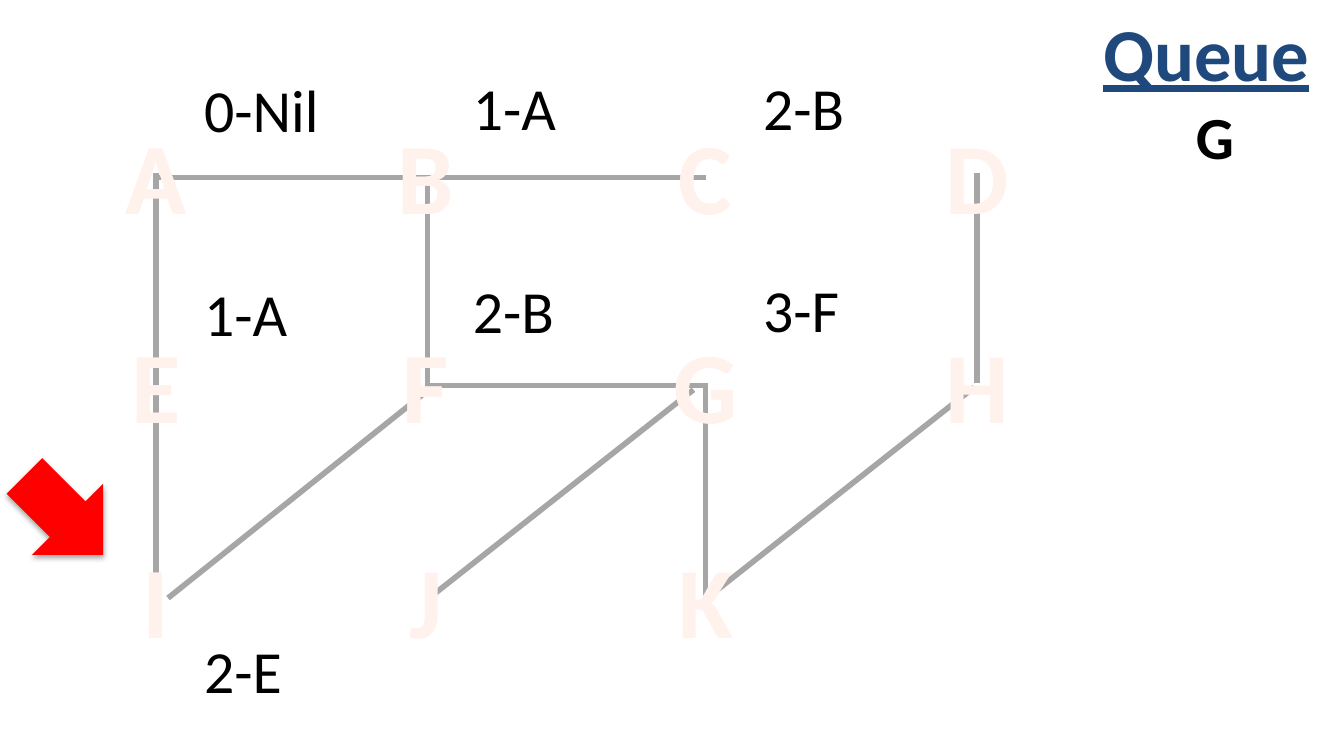
"""Build a breadth-first search slide with its graph, distance labels and queue."""
from dataclasses import dataclass

from lxml.etree import SubElement
from pptx import Presentation
from pptx.dml.color import RGBColor
from pptx.enum.shapes import MSO_CONNECTOR, MSO_SHAPE
from pptx.enum.text import MSO_ANCHOR, MSO_AUTO_SIZE, PP_ALIGN
from pptx.oxml import parse_xml
from pptx.oxml.ns import nsdecls, qn
from pptx.util import Inches, Pt

FONT = "Calibri"
SLIDE_WIDTH = Inches(10)
SLIDE_HEIGHT = SLIDE_WIDTH * 9 // 16
COLUMNS = (1.16, 3.17, 5.25, 7.27)
ROWS = (0.8, 2.35, 3.95)
NODE_HEIGHT = 1.01


@dataclass(frozen=True)
class Node:
    column: int
    row: int
    width: float


@dataclass(frozen=True)
class Edge:
    x1: float
    y1: float
    x2: float
    y2: float


@dataclass(frozen=True)
class Label:
    wording: str
    left: float
    top: float
    bold: bool = False
    align: PP_ALIGN = PP_ALIGN.LEFT


NODES = {
    "A": Node(0, 0, 0.66), "B": Node(1, 0, 0.63),
    "C": Node(2, 0, 0.6), "D": Node(3, 0, 0.68),
    "E": Node(0, 1, 0.57), "F": Node(1, 1, 0.55),
    "G": Node(2, 1, 0.68), "H": Node(3, 1, 0.68),
    "I": Node(0, 2, 0.4), "J": Node(1, 2, 0.45), "K": Node(2, 2, 0.62),
}
NODE_STATES = (("404040", "IHFAKGBJEDC"), ("0D0D0D", "AIG"), ("0F243E", "ABECF"))
EDGES = (
    Edge(1.16, 1.32, 3.25, 1.32),
    Edge(7.27, 1.29, 7.27, 2.85),
    Edge(1.16, 1.29, 1.16, 2.88),
    Edge(5.25, 2.85, 5.25, 4.51),
    Edge(3.16, 2.87, 5.25, 2.87),
    Edge(3.18, 1.32, 3.18, 2.85),
    Edge(7.25, 2.88, 5.26, 4.45),
    Edge(3.14, 2.94, 1.25, 4.45),
    Edge(1.16, 2.9, 1.16, 4.48),
    Edge(3.16, 1.32, 5.25, 1.32),
    Edge(5.16, 2.9, 3.18, 4.46),
)
LABELS = (
    Label("0-Nil", 1.42, 0.49),
    Label("1-A", 3.42, 0.48),
    Label("2-B", 5.58, 0.48),
    Label("1-A", 1.42, 2.01),
    Label("2-B", 3.42, 1.99),
    Label("3-F", 5.58, 1.98),
    Label("2-E", 1.42, 4.67),
    Label("G", 8.5, 0.69, True, PP_ALIGN.CENTER),
)


def paint(color_format, color: str) -> None:
    """Apply a hex colour to a colour format."""
    color_format.rgb = RGBColor.from_string(color)


def write(shape, wording: str, size: float, color: str, bold: bool, align: PP_ALIGN):
    """Set one paragraph of text and return its formatted run."""
    paragraph = shape.text_frame.paragraphs[0]
    paragraph.text = wording
    paragraph.alignment = align
    run = paragraph.runs[0]
    run.font.name = FONT
    run.font.size = Pt(size)
    run.font.bold = bold
    paint(run.font.color, color)
    return run


def draw_title(slide) -> None:
    """Place the underlined queue heading."""
    heading = slide.shapes.title
    heading.left, heading.top = Inches(8), Inches(0)
    heading.width, heading.height = Inches(1.95), Inches(0.81)
    heading.text_frame.auto_size = MSO_AUTO_SIZE.NONE
    heading.text_frame.vertical_anchor = MSO_ANCHOR.TOP
    write(heading, "Queue", 40, "1F497D", True, PP_ALIGN.CENTER).font.underline = True


def draw_edge(slide, edge: Edge) -> None:
    """Draw one grey graph edge without a shadow."""
    connector = slide.shapes.add_connector(
        MSO_CONNECTOR.STRAIGHT,
        Inches(edge.x1), Inches(edge.y1), Inches(edge.x2), Inches(edge.y2))
    connector.line.width = Pt(3)
    paint(connector.line.color, "A6A6A6")
    SubElement(connector._element.spPr, qn("a:effectLst"))


def draw_node(slide, letter: str, outline: str) -> None:
    """Draw an outlined node letter centred on its grid column."""
    node = NODES[letter]
    box = slide.shapes.add_textbox(
        Inches(COLUMNS[node.column] - node.width / 2), Inches(ROWS[node.row]),
        Inches(node.width), Inches(NODE_HEIGHT))
    box.text_frame.word_wrap = False
    box.text_frame.auto_size = MSO_AUTO_SIZE.SHAPE_TO_FIT_TEXT
    run = write(box, letter, 54, "FFF2ED", True, PP_ALIGN.CENTER)
    run.font._element.insert(0, parse_xml(
        f'<a:ln {nsdecls("a")} w="{Pt(2.48)}"><a:solidFill>'
        f'<a:srgbClr val="{outline}"/></a:solidFill></a:ln>'))


def draw_label(slide, label: Label) -> None:
    """Draw a distance and parent label or a queue entry."""
    box = slide.shapes.add_textbox(
        Inches(label.left), Inches(label.top), Inches(1.08), Inches(0.64))
    box.text_frame.word_wrap = True
    box.text_frame.auto_size = MSO_AUTO_SIZE.SHAPE_TO_FIT_TEXT
    write(box, label.wording, 32, "000000", label.bold, label.align)


def draw_pointer(slide) -> None:
    """Draw the red arrow pointing at the current node."""
    pointer = slide.shapes.add_shape(
        MSO_SHAPE.DOWN_ARROW, Inches(0.1), Inches(3.42), Inches(0.75), Inches(0.83))
    pointer.rotation = 315
    pointer.fill.solid()
    paint(pointer.fill.fore_color, "FF0000")
    pointer.line.fill.background()
    pointer.shadow.inherit = False
    effects = pointer._element.spPr.find(qn("a:effectLst"))
    effects.append(parse_xml(
        f'<a:outerShdw {nsdecls("a")} blurRad="{Pt(3.1)}" dist="{Pt(1.8)}" '
        'dir="5400000" rotWithShape="0"><a:srgbClr val="000000">'
        '<a:alpha val="35000"/></a:srgbClr></a:outerShdw>'))


def main() -> None:
    """Assemble and save the slide."""
    deck = Presentation()
    deck.slide_width, deck.slide_height = SLIDE_WIDTH, SLIDE_HEIGHT
    slide = deck.slides.add_slide(deck.slide_layouts[5])
    draw_title(slide)
    for edge in EDGES:
        draw_edge(slide, edge)
    for outline, letters in NODE_STATES:
        for letter in letters:
            draw_node(slide, letter, outline)
    for label in LABELS:
        draw_label(slide, label)
    draw_pointer(slide)
    deck.save("out.pptx")


if __name__ == "__main__":
    main()
